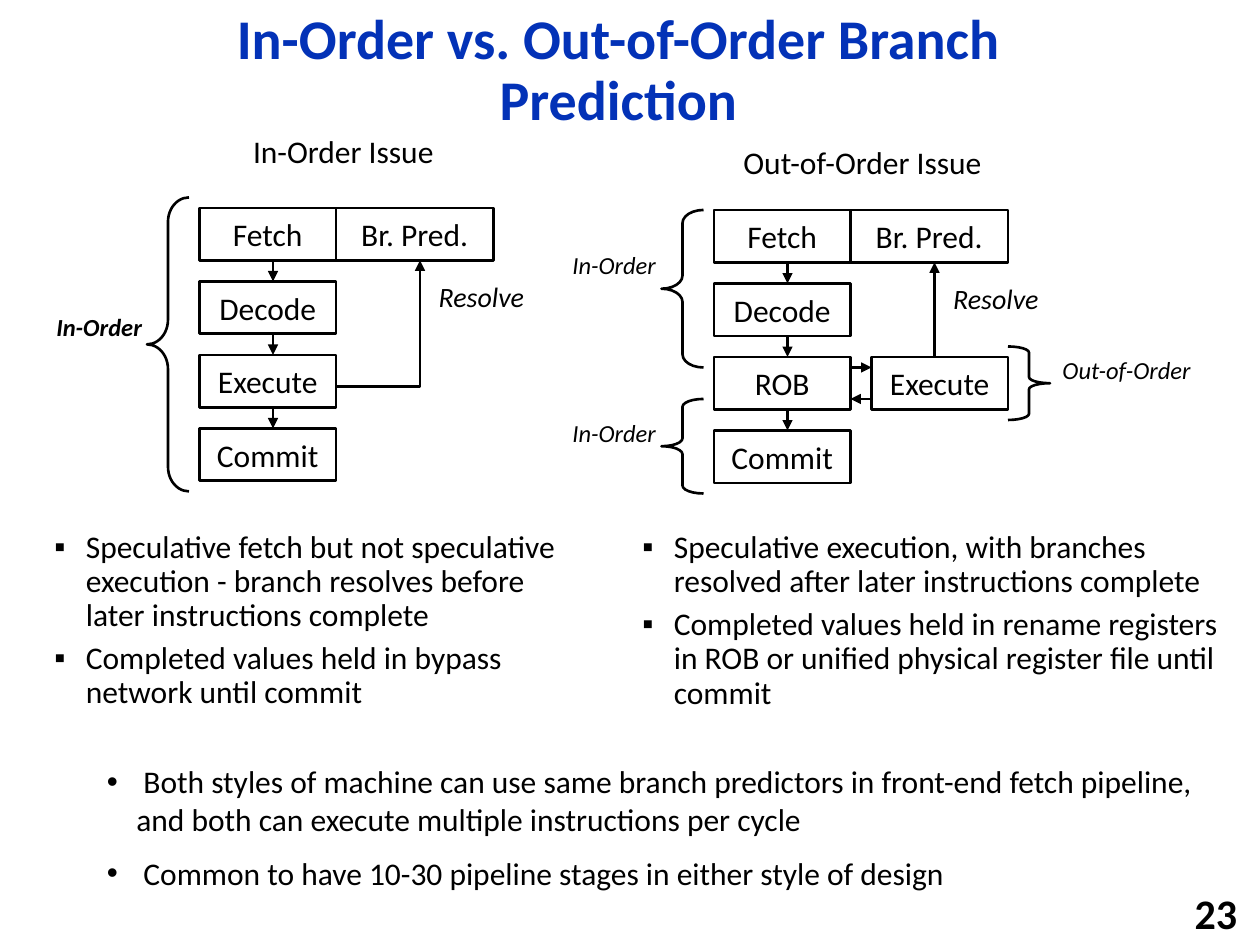
from dataclasses import dataclass

from lxml.etree import SubElement
from pptx import Presentation
from pptx.dml.color import RGBColor
from pptx.enum.shapes import MSO_CONNECTOR, MSO_SHAPE as Preset
from pptx.enum.text import MSO_ANCHOR as Anchor, MSO_AUTO_SIZE as AutoSize, PP_ALIGN as Align
from pptx.oxml.ns import qn
from pptx.util import Pt

EMU_PER_PX = 7620  # 120 px to the inch
TITLE_ONLY = 5


@dataclass(frozen=True)
class Theme:
    font: str = "Calibri"
    ink: str = "000000"
    paper: str = "FFFFFF"
    heading: str = "0332B7"
    title: int = 32
    number: int = 24
    body: int = 18
    note: int = 16
    small: int = 14
    stroke: float = 1.5


THEME = Theme()

# Pipeline grid
STAGE_W, STAGE_H, STAGE_STEP = 130, 50, 70
PREDICTOR_W = 150
BRACE_W = 40


def px(*lengths):
    return [length * EMU_PER_PX for length in lengths]


def write(frame, *lines, size=THEME.body, color=THEME.ink, bold=False, italic=False,
          align=Align.CENTER, anchor=Anchor.MIDDLE, wrap=False,
          spacing=None, gap=0, bullet=None, indent=0):
    """Fill a text frame, one paragraph per line; gap parts the paragraphs."""
    frame.auto_size = AutoSize.NONE
    frame.word_wrap = wrap
    frame.vertical_anchor = anchor
    for index, line in enumerate(lines):
        para = frame.add_paragraph() if index else frame.paragraphs[0]
        para.alignment = align
        if spacing:
            para.line_spacing = spacing
        para.space_before = Pt(gap if index else 0)
        if bullet:
            props = para._p.get_or_add_pPr()
            props.set("marL", str(indent * EMU_PER_PX))
            props.set("indent", str(-indent * EMU_PER_PX))
            SubElement(props, qn("a:buFont"), typeface="Arial")
            SubElement(props, qn("a:buChar"), char=bullet)
        span = para.add_run()
        span.text = line
        span.font.name = THEME.font
        span.font.size = Pt(size)
        span.font.bold = bold
        span.font.italic = italic
        span.font.color.rgb = RGBColor.from_string(color)


def add_text(page, area, *lines, **style):
    box = page.shapes.add_textbox(*px(*area))
    write(box.text_frame, *lines, **style)


def draw_line(line):
    line.color.rgb = RGBColor.from_string(THEME.ink)
    line.width = Pt(THEME.stroke)


def add_arrowhead(line):
    SubElement(line._get_or_add_ln(), qn("a:tailEnd"), type="triangle")


def add_stage(page, left, top, text, width=STAGE_W):
    box = page.shapes.add_shape(Preset.RECTANGLE, *px(left, top, width, STAGE_H))
    box.shadow.inherit = False
    box.fill.solid()
    box.fill.fore_color.rgb = RGBColor.from_string(THEME.paper)
    draw_line(box.line)
    write(box.text_frame, text)


def add_arrow(page, start, end):
    arrow = page.shapes.add_connector(MSO_CONNECTOR.STRAIGHT, *px(*start, *end))
    draw_line(arrow.line)
    add_arrowhead(arrow.line)
    SubElement(arrow._element.spPr, qn("a:effectLst"))


def add_bent_arrow(page, start, *points):
    builder = page.shapes.build_freeform(*px(*start))
    builder.add_line_segments([px(*point) for point in points], close=False)
    path = builder.convert_to_shape()
    path.shadow.inherit = False
    path.fill.background()
    draw_line(path.line)
    add_arrowhead(path.line)


def add_brace(page, left, top, height, preset=Preset.LEFT_BRACE):
    brace = page.shapes.add_shape(preset, *px(left, top, BRACE_W, height))
    brace.shadow.inherit = False
    brace.fill.background()
    draw_line(brace.line)
    brace.adjustments[0] = height / 12 / BRACE_W  # curl is a twelfth of the height
    brace.adjustments[1] = 0.5


def add_pipeline(page, left, top, stages):
    """Stack the stages with arrows between; the predictor joins the first."""
    for row, stage in enumerate(stages):
        y = top + row * STAGE_STEP
        add_stage(page, left, y, stage)
        if row:
            x = left + 70
            add_arrow(page, (x, y - STAGE_STEP + STAGE_H), (x, y))
    add_stage(page, left + STAGE_W, top, "Br. Pred.", PREDICTOR_W)
    add_text(page, (left + 214, top + 62, 109, 44), "Resolve", size=THEME.note, italic=True)


def add_in_order_side(page):
    left, top = 190, 198
    add_text(page, (210, 120, 234, 48), "In-Order Issue")
    add_pipeline(page, left, top, ["Fetch", "Decode", "Execute", "Commit"])
    # Resolve path from Execute back to the predictor
    add_bent_arrow(page, (left + STAGE_W, 368), (left + 210, 368), (left + 210, top + STAGE_H))
    add_brace(page, 140, 188, 280)
    add_text(page, (38, 291, 113, 41), "In-Order", size=THEME.small, bold=True, italic=True)


def add_out_of_order_side(page):
    left, top = 680, 200
    execute_x, execute_y = left + 150, top + 2 * STAGE_STEP
    add_text(page, (650, 130, 343, 48), "Out-of-Order Issue")
    add_pipeline(page, left, top, ["Fetch", "Decode", "ROB", "Commit"])
    # Execute beside the ROB, with its arrows
    add_stage(page, execute_x, execute_y, "Execute")
    add_arrow(page, (left + STAGE_W, execute_y + 10), (execute_x, execute_y + 10))
    add_arrow(page, (execute_x, execute_y + 40), (left + STAGE_W, execute_y + 40))
    add_arrow(page, (left + 210, execute_y), (left + 210, top + STAGE_H))
    # Ordering braces
    for brace_y, height, label_y in [(200, 150, 232), (380, 90, 392)]:
        add_brace(page, 630, brace_y, height)
        add_text(page, (530, label_y, 110, 41), "In-Order", size=THEME.small, italic=True)
    add_brace(page, 960, 330, 70, Preset.RIGHT_BRACE)
    add_text(page, (996, 332, 154, 41), "Out-of-Order", size=THEME.small, italic=True)


def add_bullets(page, area, *lines, **style):
    add_text(page, area, *lines, align=Align.LEFT, anchor=Anchor.TOP, wrap=True, **style)


def add_title(page, text):
    title = page.shapes.title
    title.left, title.top, title.width, title.height = px(110, 20, 958, 97)
    write(title.text_frame, text, size=THEME.title, color=THEME.heading,
          bold=True, wrap=True, spacing=0.9)


def main():
    deck = Presentation()
    deck.slide_width, deck.slide_height = px(1200, 900)
    page = deck.slides.add_slide(deck.slide_layouts[TITLE_ONLY])
    add_title(page, "In-Order vs. Out-of-Order Branch Prediction")

    # Diagrams
    add_in_order_side(page)
    add_out_of_order_side(page)

    # Column notes
    column = dict(bullet="▪", indent=30, spacing=0.9, gap=5.4)
    add_bullets(page, (40, 500, 506, 228),
                "Speculative fetch but not speculative execution - branch resolves "
                "before later instructions complete",
                "Completed values held in bypass network until commit", **column)
    add_bullets(page, (600, 500, 574, 210),
                "Speculative execution, with branches resolved after later "
                "instructions complete",
                "Completed values held in rename registers in ROB or unified "
                "physical register file until commit", **column)

    # Shared notes and page number
    add_bullets(page, (90, 720, 1060, 140),
                " Both styles of machine can use same branch predictors in front-end "
                "fetch pipeline, and both can execute multiple instructions per cycle",
                " Common to have 10-30 pipeline stages in either style of design",
                bullet="•", indent=28, gap=9)
    add_text(page, (940, 850, 250, 38), "23", size=THEME.number, bold=True,
             align=Align.RIGHT, wrap=True)
    deck.save("out.pptx")


if __name__ == "__main__":
    main()
